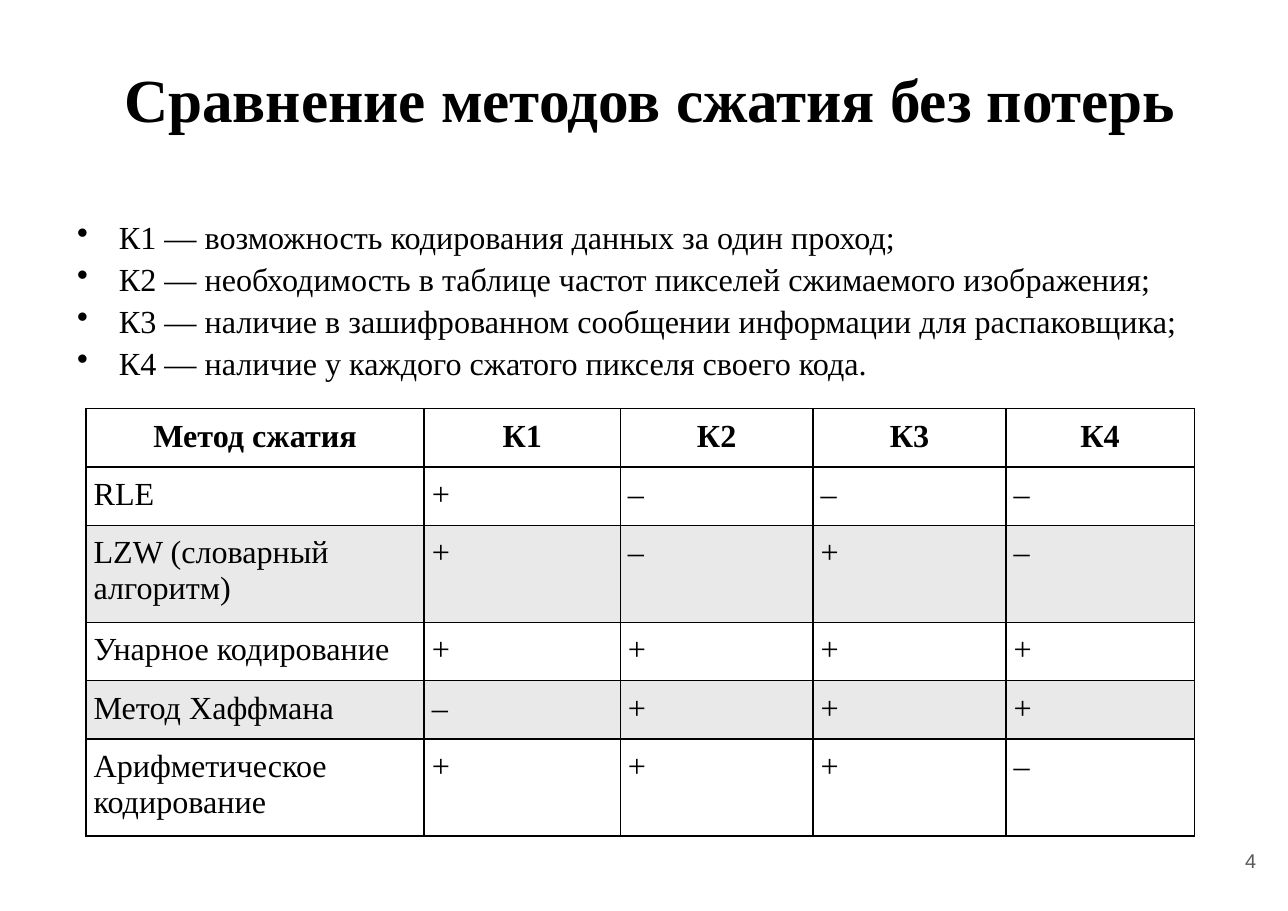
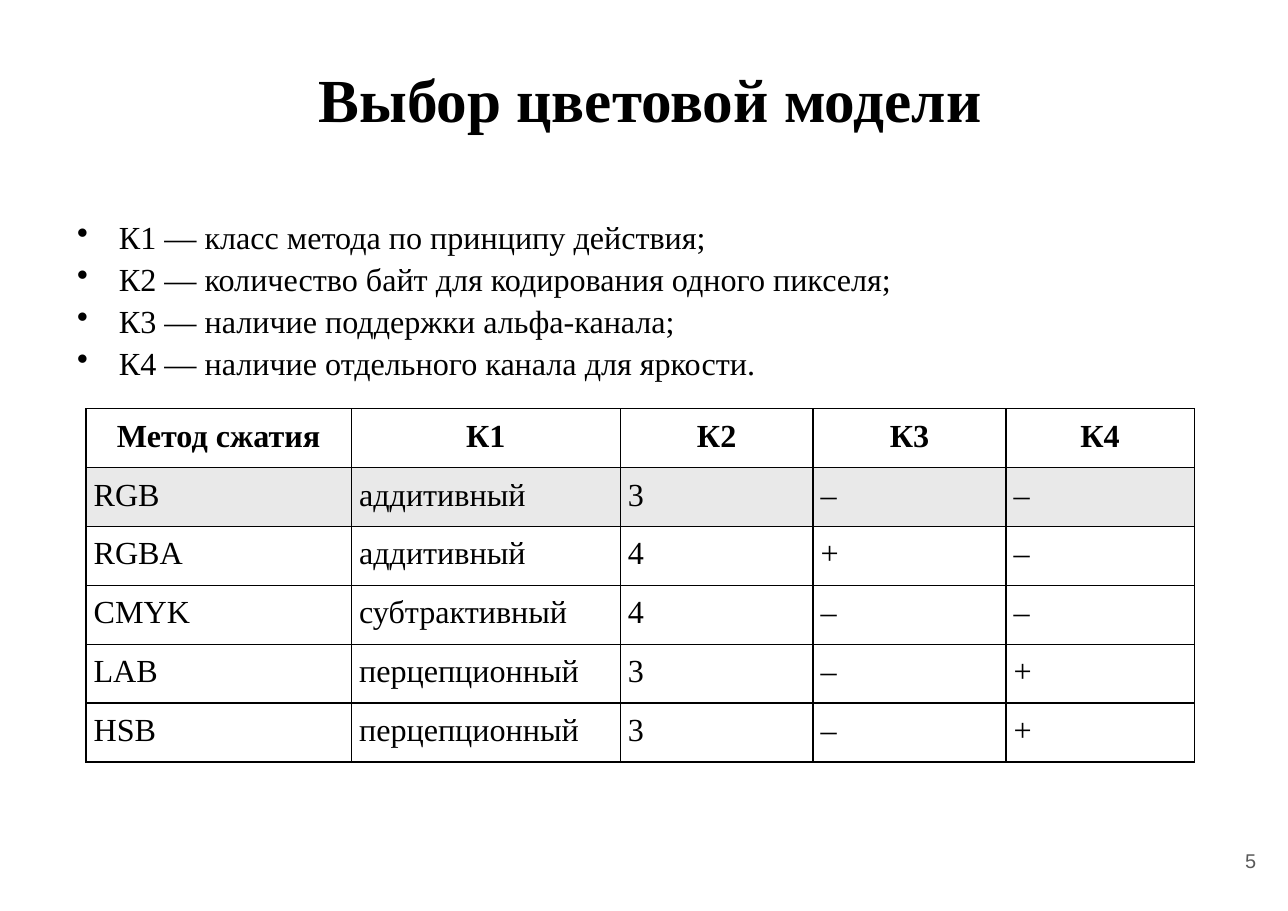
"""Builds two comparison slides: criteria list above a table."""
from lxml import etree
from pptx import Presentation
from pptx.dml.color import RGBColor
from pptx.enum import text as t
from pptx.oxml import ns
from pptx.util import Inches, Pt

BLACK = RGBColor(0, 0, 0)
GREY = RGBColor(0x59, 0x59, 0x59)
SHADE = RGBColor(0xE9, 0xE9, 0xE9)
SERIF = "Times New Roman"
HEAD = ("Метод сжатия", "К1", "К2", "К3", "К4")
LEFT, TOP = 0.78, 3.71

SLIDES = [
    {
        "num": "4",
        "title": "Сравнение методов сжатия без потерь",
        "list": [
            "К1 — возможность кодирования данных за один проход;",
            "К2 — необходимость в таблице частот пикселей сжимаемого изображения;",
            "К3 — наличие в зашифрованном сообщении информации для распаковщика;",
            "К4 — наличие у каждого сжатого пикселя своего кода.",
        ],
        "cols": (3.07, 1.78, 1.75, 1.75, 1.71),
        "rows": (0.51, 0.51, 0.83, 0.51, 0.51, 0.83),
        "shaded": (2, 4),
        "cells": [
            ("RLE", "+", "–", "–", "–"),
            ("LZW (словарный алгоритм)", "+", "–", "+", "–"),
            ("Унарное кодирование", "+", "+", "+", "+"),
            ("Метод Хаффмана", "–", "+", "+", "+"),
            ("Арифметическое кодирование", "+", "+", "+", "–"),
        ],
    },
    {
        "num": "5",
        "title": "Выбор цветовой модели",
        "list": [
            "К1 — класс метода по принципу действия;",
            "К2 — количество байт для кодирования одного пикселя;",
            "К3 — наличие поддержки альфа-канала;",
            "К4 — наличие отдельного канала для яркости.",
        ],
        "cols": (2.41, 2.44, 1.75, 1.75, 1.71),
        "rows": (3.21 / 6,) * 6,
        "shaded": (1,),
        "cells": [
            ("RGB", "аддитивный", "3", "–", "–"),
            ("RGBA", "аддитивный", "4", "+", "–"),
            ("CMYK", "субтрактивный", "4", "–", "–"),
            ("LAB", "перцепционный", "3", "–", "+"),
            ("HSB", "перцепционный", "3", "–", "+"),
        ],
    },
]


def style(par, size, bold=False, color=BLACK, font=SERIF):
    for run in par.runs:
        run.font.name, run.font.size = font, Pt(size)
        run.font.bold, run.font.color.rgb = bold, color


def add_text(slide, area, pads, lines):
    frame = slide.shapes.add_textbox(*map(Inches, area)).text_frame
    frame.word_wrap = True
    (frame.margin_left, frame.margin_top,
     frame.margin_right, frame.margin_bottom) = map(Inches, pads)
    frame.text = "\n".join(lines)
    return frame


def add_title(slide, title):
    frame = add_text(slide, (LEFT, 0.52, 10.24, 0.96), (0.11, 0.1, 0.11, 0.06), [title])
    par = frame.paragraphs[0]
    par.alignment, par.line_spacing = t.PP_ALIGN.CENTER, 0.93
    style(par, 40, True)


def add_list(slide, lines):
    frame = add_text(slide, (0.45, 1.82, 10.57, 1.65), (0.12,) * 4, lines)
    for par in frame.paragraphs:
        par.line_spacing = 1.09
        style(par, 21)
        props = par._p.get_or_add_pPr()
        props.set("marL", str(Inches(0.51)))
        props.set("indent", str(Inches(-0.38)))
        etree.SubElement(props, ns.qn("a:buChar")).set("char", "•")


def add_num(slide, num):
    frame = add_text(slide, (10.83, 7.5, 0.7, 0.63), (0.13,) * 4, [num])
    frame.vertical_anchor = t.MSO_ANCHOR.MIDDLE
    frame.paragraphs[0].alignment = t.PP_ALIGN.RIGHT
    style(frame.paragraphs[0], 13, color=GREY, font="Arial")


def add_border(cell):
    props = cell._tc.get_or_add_tcPr()
    for side in ("lnL", "lnR", "lnT", "lnB"):
        line = etree.SubElement(props, ns.qn("a:" + side))
        line.set("w", str(Pt(1)))
        fill = etree.SubElement(line, ns.qn("a:solidFill"))
        etree.SubElement(fill, ns.qn("a:srgbClr")).set("val", str(BLACK))


def add_grid(slide, data):
    cols, rows = data["cols"], data["rows"]
    area = map(Inches, (LEFT, TOP, sum(cols), sum(rows)))
    table = slide.shapes.add_table(len(rows), len(cols), *area).table
    table.first_row = table.horz_banding = False
    for col, width in zip(table.columns, cols):
        col.width = Inches(width)
    for row, height in zip(table.rows, rows):
        row.height = Inches(height)
    for r, words in enumerate([HEAD] + data["cells"]):
        for c, word in enumerate(words):
            cell = table.cell(r, c)
            cell.text = word
            cell.margin_left = cell.margin_right = Inches(0.07)
            cell.margin_top = cell.margin_bottom = Inches(0.09)
            par = cell.text_frame.paragraphs[0]
            par.alignment = t.PP_ALIGN.LEFT if r else t.PP_ALIGN.CENTER
            style(par, 21, r == 0)
            add_border(cell)
            if r in data["shaded"]:
                cell.fill.solid()
                cell.fill.fore_color.rgb = SHADE
            else:
                cell.fill.background()


def main():
    deck = Presentation()
    deck.slide_width, deck.slide_height = Inches(11.69), Inches(8.27)
    for data in SLIDES:
        slide = deck.slides.add_slide(deck.slide_layouts[6])
        add_num(slide, data["num"])
        add_grid(slide, data)
        add_title(slide, data["title"])
        add_list(slide, data["list"])
    deck.save("out.pptx")


if __name__ == "__main__":
    main()
